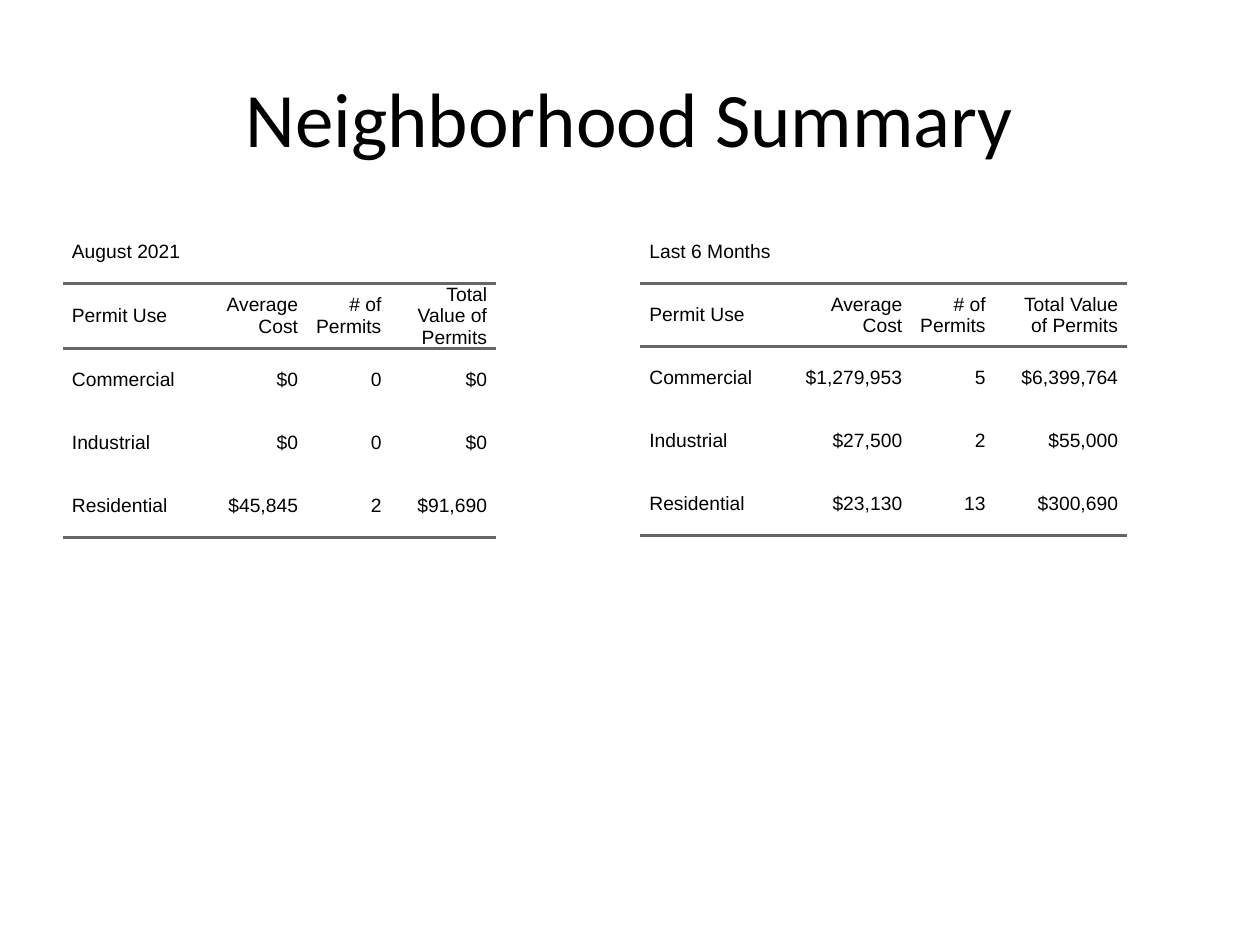
from lxml.etree import fromstring
from pptx import Presentation
from pptx.dml.color import RGBColor
from pptx.enum.text import MSO_ANCHOR, PP_ALIGN
from pptx.util import Cm, Pt

COLORS = {"text": "000000", "rule": "666666"}
NS = "http://schemas.openxmlformats.org/drawingml/2006/main"
PLAIN = "{2D5ABB26-0587-4C30-8999-92F81FD0307C}"  # table style without grid
HEAD = ["Permit Use", "Average Cost", "# of Permits", "Total Value of Permits"]
PAD = Cm(0.18)
CELL = {"margin_left": 0, "margin_right": 0, "margin_top": 0,
        "margin_bottom": 0, "vertical_anchor": MSO_ANCHOR.MIDDLE}
PARA = {"space_before": Pt(5), "space_after": Pt(5)}
TABLES = [
    (1.27, [2.79, 2.13, 1.68, 2.13], [
        ["August 2021"], HEAD,
        ["Commercial", "$0", "0", "$0"],
        ["Industrial", "$0", "0", "$0"],
        ["Residential", "$45,845", "2", "$91,690"]]),
    (12.91, [2.79, 2.67, 1.68, 2.67], [
        ["Last 6 Months"], HEAD,
        ["Commercial", "$1,279,953", "5", "$6,399,764"],
        ["Industrial", "$27,500", "2", "$55,000"],
        ["Residential", "$23,130", "13", "$300,690"]]),
]


def apply(item, values):
    for name, value in values.items():
        setattr(item, name, value)


def set_font(para, name, size):
    apply(para.font, {"name": name, "size": Pt(size)})
    para.font.color.rgb = RGBColor.from_string(COLORS["text"])


def add_rules(cell, sides):
    """Draw the cell's border lines, sides given in the order T, B."""
    props = cell._tc.get_or_add_tcPr()
    for place, side in enumerate(sides):
        props.insert(place, fromstring(
            f'<a:ln{side} xmlns:a="{NS}" w="{Pt(2)}"><a:solidFill>'
            f'<a:srgbClr val="{COLORS["rule"]}"/></a:solidFill></a:ln{side}>'))


def fill_cell(cell, text, align):
    apply(cell, CELL)
    cell.fill.background()
    cell.text = text
    para = cell.text_frame.paragraphs[0]
    apply(para, {**PARA, "alignment": align})
    props = para._p.get_or_add_pPr()
    for side in ("marL", "marR"):
        props.set(side, str(PAD))
    set_font(para, "Arial", 11)


def add_permits(slide, left, widths, rows):
    size = {"width": Cm(11.23), "height": Cm(12.57)}
    frame = slide.shapes.add_table(len(rows), len(widths), Cm(left),
                                   Cm(4.45), **size)
    table = frame.table
    apply(table, {"first_row": False, "horz_banding": False})
    table._tbl.tblPr.find(f"{{{NS}}}tableStyleId").text = PLAIN
    for col, width in zip(table.columns, widths):
        col.width = Cm(width)
    for row in table.rows:
        row.height = Cm(1.27)
    apply(frame, size)
    table.cell(0, 0).merge(table.cell(0, len(widths) - 1))
    rules = {1: "TB", len(rows) - 1: "B"}
    for r, texts in enumerate(rows):
        for c, text in enumerate(texts):
            cell = table.cell(r, c)
            fill_cell(cell, text, PP_ALIGN.RIGHT if c else PP_ALIGN.LEFT)
            add_rules(cell, rules.get(r, ""))


def set_title(slide, text):
    title = slide.shapes.title
    apply(title, {"left": Cm(1.27), "top": Cm(0.76),
                  "width": Cm(22.86), "height": Cm(3.18)})
    title.text = text
    title.text_frame.vertical_anchor = MSO_ANCHOR.MIDDLE
    para = title.text_frame.paragraphs[0]
    para.alignment = PP_ALIGN.CENTER
    set_font(para, "Calibri", 44)


def main():
    deck = Presentation()
    apply(deck, {"slide_width": Cm(25.4), "slide_height": Cm(19.05)})
    slide = deck.slides.add_slide(deck.slide_layouts[5])
    set_title(slide, "Neighborhood Summary")
    for left, widths, rows in TABLES:
        add_permits(slide, left, widths, rows)
    deck.save("out.pptx")


if __name__ == "__main__":
    main()
